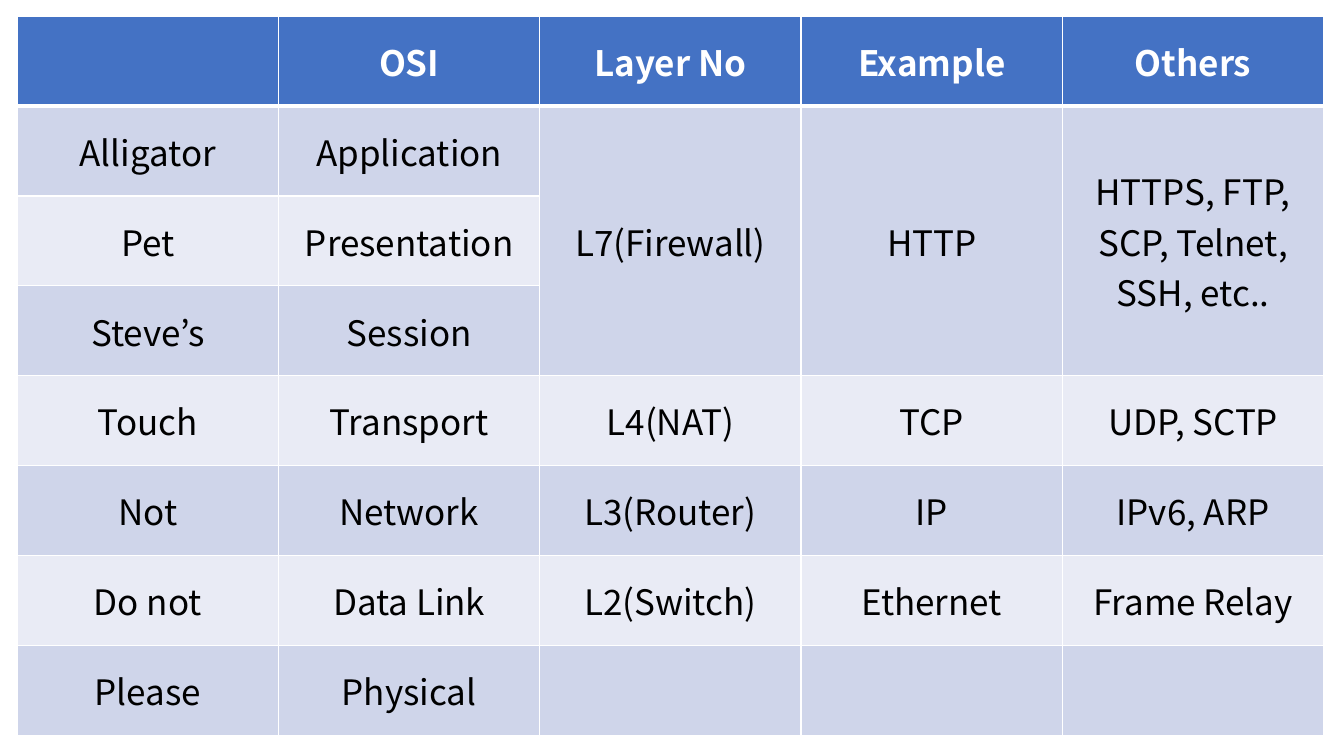
from lxml.etree import SubElement
from pptx import Presentation
from pptx.dml.color import RGBColor
from pptx.enum.text import MSO_ANCHOR as ANCHOR, PP_ALIGN as ALIGN
from pptx.oxml.ns import qn
from pptx.util import Inches, Pt

HEADER = ["", "OSI", "Layer No", "Example", "Others"]
LAYERS = [
    ["Alligator", "Application", "L7(Firewall)", "HTTP", "HTTPS, FTP, SCP, Telnet, SSH, etc.."],
    ["Pet", "Presentation", "", "", ""],
    ["Steve’s", "Session", "", "", ""],
    ["Touch", "Transport", "L4(NAT)", "TCP", "UDP, SCTP"],
    ["Not", "Network", "L3(Router)", "IP", "IPv6, ARP"],
    ["Do not", "Data Link", "L2(Switch)", "Ethernet", "Frame Relay"],
    ["Please", "Physical", "", "", ""],
]
MERGED_COLS = [2, 3, 4]
MERGED_ROWS = (1, 3)
COLORS = {
    "header": "4472C4",
    "odd": "CFD5EA",
    "even": "E9EBF5",
    "border": "FFFFFF",
    "header_text": "FFFFFF",
    "text": "000000",
}
FONT = "Noto Sans CJK KR"
FONT_SIZE = 25
LEFT, TOP, WIDTH, HEIGHT = 0.17, 0.16, 12.96, 7.14


def rgb(name):
    return RGBColor.from_string(COLORS[name])


def set_borders(cell, row):
    widths = {"L": 1, "R": 1, "T": 3 if row == 1 else 1, "B": 3 if row == 0 else 1}
    tc_pr = cell._tc.get_or_add_tcPr()
    for side, width in widths.items():
        ln = SubElement(tc_pr, qn(f"a:ln{side}"), w=str(Pt(width)))
        fill = SubElement(ln, qn("a:solidFill"))
        SubElement(fill, qn("a:srgbClr"), val=COLORS["border"])


def fill_cell(cell, row, text):
    set_borders(cell, row)
    band = "header" if row == 0 else "odd" if row % 2 else "even"
    cell.fill.solid()
    cell.fill.fore_color.rgb = rgb(band)
    cell.vertical_anchor = ANCHOR.MIDDLE
    p = cell.text_frame.paragraphs[0]
    p.alignment = ALIGN.CENTER
    if text:
        r = p.add_run()
        r.text = text
        r.font.name = FONT
        r.font.size = Pt(FONT_SIZE)
        r.font.bold = row == 0
        r.font.color.rgb = rgb("header_text" if row == 0 else "text")


def main():
    prs = Presentation()
    prs.slide_width, prs.slide_height = Inches(13.33), Inches(7.5)
    s = prs.slides.add_slide(prs.slide_layouts[6])

    rows = [HEADER] + LAYERS
    table = s.shapes.add_table(
        len(rows), len(HEADER), Inches(LEFT), Inches(TOP), Inches(WIDTH), Inches(HEIGHT)
    ).table
    for i, texts in enumerate(rows):
        for j, text in enumerate(texts):
            fill_cell(table.cell(i, j), i, text)

    first, last = MERGED_ROWS
    for j in MERGED_COLS:
        table.cell(first, j).merge(table.cell(last, j))

    prs.save("out.pptx")


if __name__ == "__main__":
    main()
